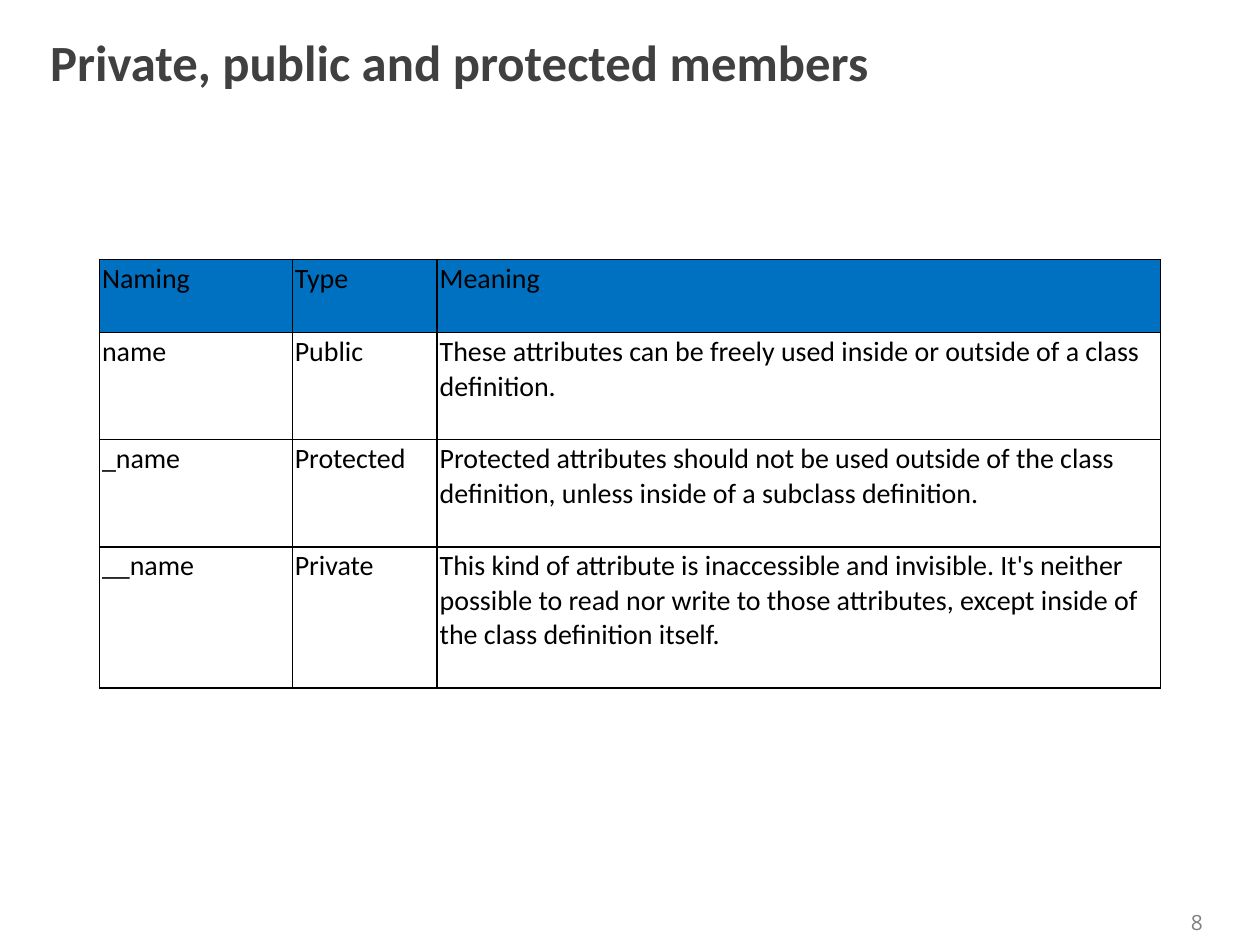
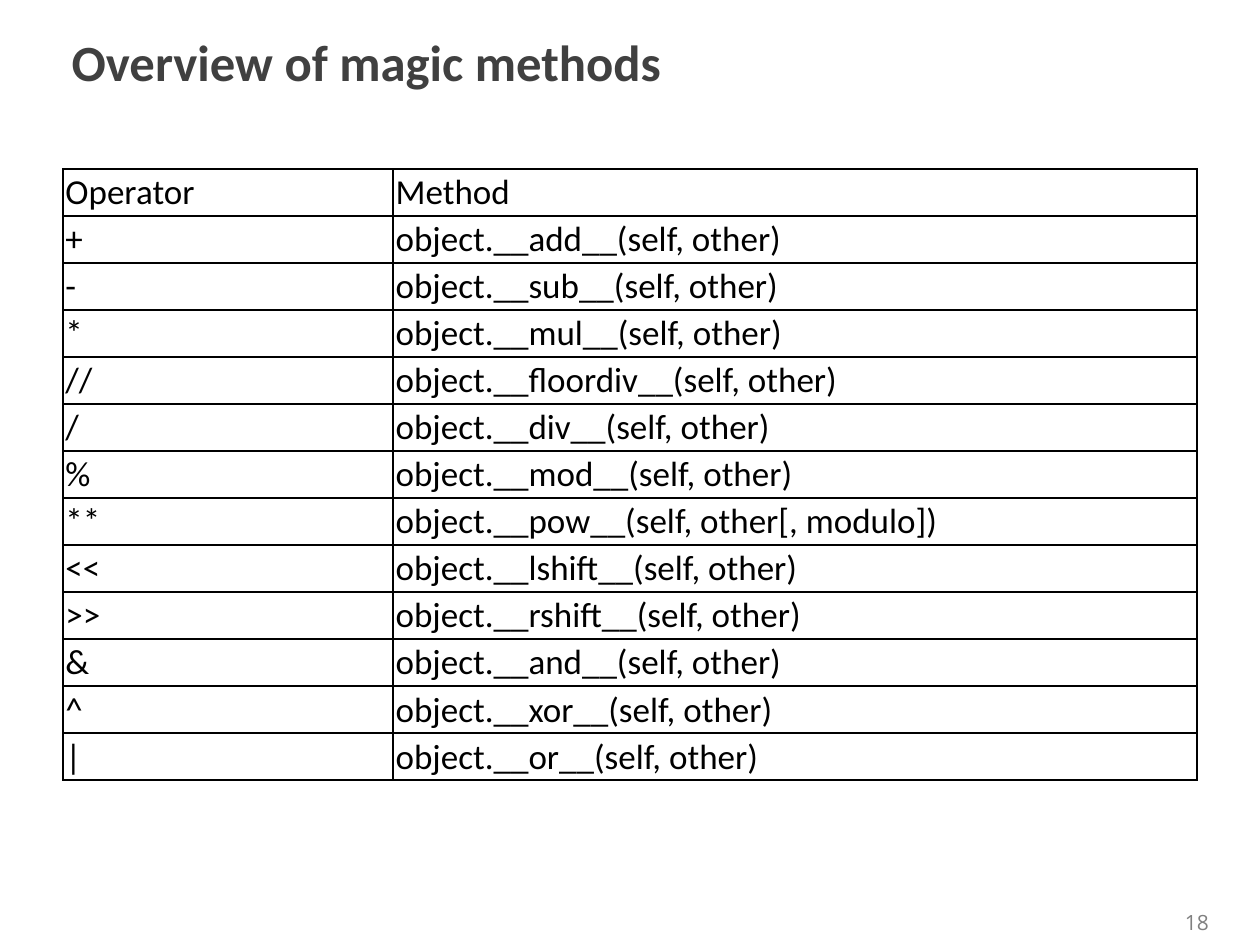
import pptx
import pptx.dml.color
import pptx.enum.text
import pptx.oxml
import pptx.oxml.ns
import pptx.util
from pptx.util import Inches

INK = "000000"
TITLE_GREY = "404040"
NUMBER_GREY = "808080"
HEADER_BLUE = "0070C0"
BODY_FONT = "Calibri"
NUMBER_FONT = "Open Sans"
CELL_INSET = 0.02

MEMBER_ROWS = [
    ("Naming", "Type", "Meaning"),
    ("name", "Public",
     "These attributes can be freely used inside or outside of a class definition."),
    ("_name", "Protected",
     "Protected attributes should not be used outside of the class definition, "
     "unless inside of a subclass definition."),
    ("__name", "Private",
     "This kind of attribute is inaccessible and invisible. It's neither possible "
     "to read nor write to those attributes, except inside of the class definition itself."),
]

OPERATORS = {
    "+": "add", "-": "sub", "*": "mul", "//": "floordiv", "/": "div", "%": "mod",
    "**": "pow", "<<": "lshift", ">>": "rshift", "&": "and", "^": "xor", "|": "or",
}


def color(hex_code):
    """Turn a hex string into a colour."""
    return pptx.dml.color.RGBColor.from_string(hex_code)


def write(frame, text, size=16, font=BODY_FONT, ink=INK, bold=False, align="LEFT"):
    """Put one formatted paragraph into a text frame."""
    frame.word_wrap = True
    paragraph = frame.paragraphs[0]
    paragraph.alignment = getattr(pptx.enum.text.PP_ALIGN, align)
    run = paragraph.add_run()
    run.text = text
    run.font.size = pptx.util.Pt(size)
    run.font.name = font
    run.font.bold = bold
    run.font.color.rgb = color(ink)


def add_label(slide, text, left, top, width, height, **text_format):
    """Add a vertically centred text box."""
    frame = slide.shapes.add_textbox(
        Inches(left), Inches(top), Inches(width), Inches(height)).text_frame
    frame.vertical_anchor = pptx.enum.text.MSO_ANCHOR.MIDDLE
    write(frame, text, **text_format)


def add_titled_slide(deck, title, title_left, number):
    """Add a slide with its title and page number."""
    slide = deck.slides.add_slide(deck.slide_layouts[6])
    add_label(slide, title, title_left, 0.17, 9.36, 0.63,
              size=29, ink=TITLE_GREY, bold=True)
    add_label(slide, str(number), 9.25, 7.17, 0.5, 0.3,
              size=12, font=NUMBER_FONT, ink=NUMBER_GREY, align="CENTER")
    return slide


def draw_borders(cell):
    """Draw a one-point line on every side of a cell."""
    properties = cell._tc.get_or_add_tcPr()
    for position, side in enumerate("LRTB"):
        properties.insert(position, pptx.oxml.parse_xml(
            f'<a:ln{side} {pptx.oxml.ns.nsdecls("a")} w="12700"><a:solidFill>'
            f'<a:srgbClr val="{INK}"/></a:solidFill></a:ln{side}>'))


def fill_cell(cell, text, size, background):
    """Format one cell and write its text."""
    cell.margin_left = cell.margin_right = Inches(CELL_INSET)
    cell.margin_top = cell.margin_bottom = Inches(CELL_INSET)
    if background:
        cell.fill.solid()
        cell.fill.fore_color.rgb = color(background)
    else:
        cell.fill.background()
    draw_borders(cell)
    write(cell.text_frame, text, size=size)


def add_grid(slide, rows, left, top, widths, heights, size, header_fill=None):
    """Add a bordered table, with an optional fill in its first row."""
    table = slide.shapes.add_table(
        len(rows), len(widths), Inches(left), Inches(top),
        Inches(sum(widths)), Inches(sum(heights))).table
    table.first_row = table.horz_banding = False
    for column, width in zip(table.columns, widths):
        column.width = Inches(width)
    for row, height in zip(table.rows, heights):
        row.height = Inches(height)
    for row_index, texts in enumerate(rows):
        background = header_fill if row_index == 0 else None
        for column_index, text in enumerate(texts):
            fill_cell(table.cell(row_index, column_index), text, size, background)


def method_rows():
    """List each operator with the signature of its method."""
    rows = [("Operator", "Method")]
    for operator, name in OPERATORS.items():
        arguments = "self, other[, modulo]" if name == "pow" else "self, other"
        rows.append((operator, f"object.__{name}__({arguments})"))
    return rows


def main():
    """Build and save the two slides."""
    deck = pptx.Presentation()
    deck.slide_width, deck.slide_height = Inches(10), Inches(7.5)

    members = add_titled_slide(deck, "Private, public and protected members", 0.3, 8)
    add_grid(members, MEMBER_ROWS, 0.79, 2.06, [1.53, 1.15, 5.74],
             [0.58, 0.85, 0.85, 1.12], size=16, header_fill=HEADER_BLUE)

    methods = add_titled_slide(deck, "Overview of magic methods", 0.47, 18)
    rows = method_rows()
    add_grid(methods, rows, 0.5, 1.34, [2.62, 6.38], [0.37] * len(rows), size=20)

    deck.save("out.pptx")


if __name__ == "__main__":
    main()
